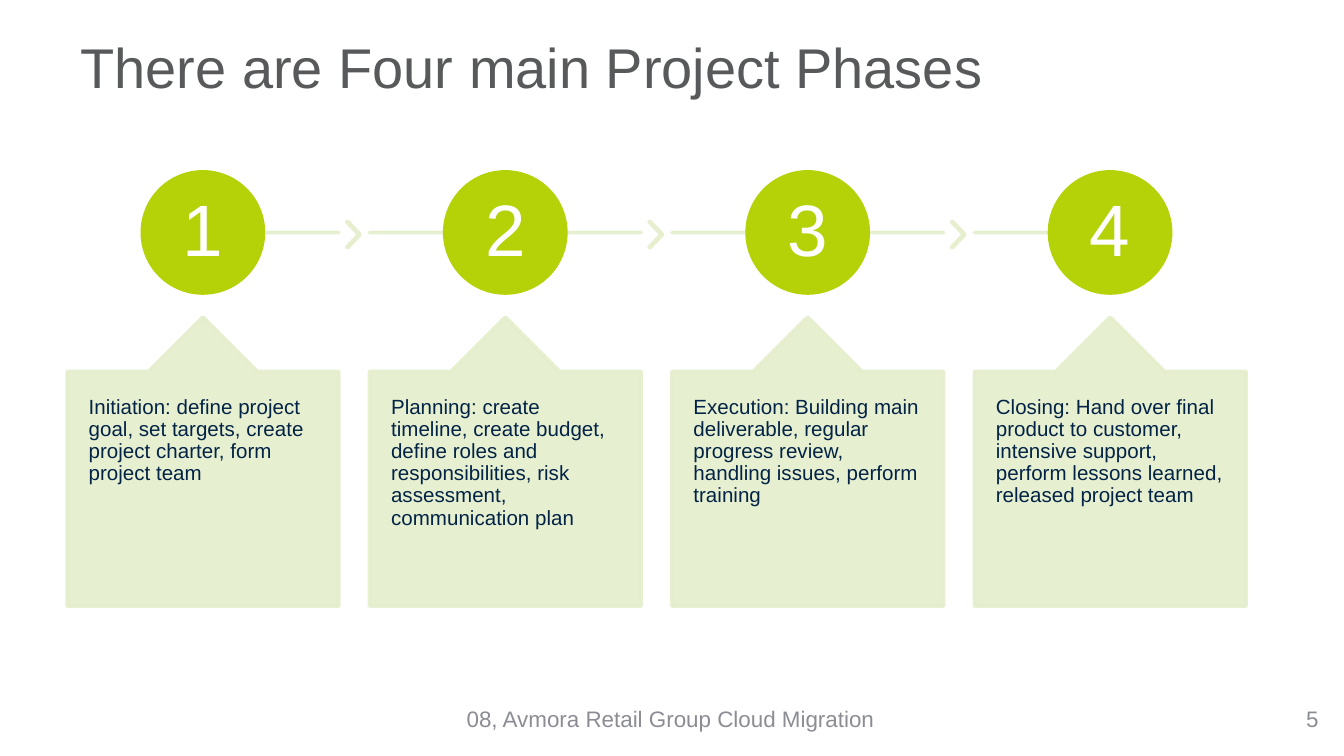
from lxml import etree
from pptx import Presentation
from pptx.dml.color import RGBColor
from pptx.enum.shapes import MSO_CONNECTOR, MSO_SHAPE as Shape
from pptx.enum.text import MSO_ANCHOR as Anchor, PP_ALIGN as Align
from pptx.oxml.ns import qn
from pptx.util import Inches, Pt

TITLE_GREY, FOOTER_GREY = "58595B", "8C8D94"
GREEN, PALE, NAVY, WHITE = "B5D107", "E5EECC", "022345", "FFFFFF"
CARD_WIDTH, PITCH, CIRCLE = 2.02, 2.25, 0.9
PHASES = [
    "Initiation: define project goal, set targets, create project charter, form project team",
    "Planning: create timeline, create budget, define roles and responsibilities, "
    "risk assessment, communication plan",
    "Execution: Building main deliverable, regular progress review, handling issues, "
    "perform training",
    "Closing: Hand over final product to customer, intensive support, "
    "perform lessons learned, released project team",
]


def rgb(color):
    """Return the colour for a hex string."""
    return RGBColor.from_string(color)


def soften(properties, opacity):
    """Set the opacity of every solid colour below an element."""
    for color in properties.iter(qn("a:srgbClr")):
        etree.SubElement(color, qn("a:alpha")).set("val", str(round(opacity * 100000)))


def outline(line, color):
    """Give a line its colour, width, round caps and round joins."""
    line.color.rgb = rgb(color)
    line.width = Pt(2)
    stroke = line._get_or_add_ln()
    stroke.set("cap", "rnd")
    etree.SubElement(stroke, qn("a:round"))


def add_text(slide, box, text, size, color, align=Align.LEFT, anchor=Anchor.MIDDLE,
             insets=(0.1, 0.05)):
    """Add one paragraph of text in a box."""
    frame = slide.shapes.add_textbox(*map(Inches, box)).text_frame
    frame.word_wrap = True
    frame.vertical_anchor = anchor
    frame.margin_left = frame.margin_right = Inches(insets[0])
    frame.margin_top = frame.margin_bottom = Inches(insets[1])
    paragraph = frame.paragraphs[0]
    paragraph.alignment = align
    paragraph.line_spacing = 0.9
    run = paragraph.add_run()
    run.text = text
    run.font.name = "Arial"
    run.font.size = Pt(size)
    run.font.color.rgb = rgb(color)


def add_filled(slide, kind, box, color, opacity=1, adjustments=()):
    """Add a preset shape with matching fill and outline."""
    shape = slide.shapes.add_shape(kind, *map(Inches, box))
    shape.shadow.inherit = False
    for index, value in enumerate(adjustments):
        shape.adjustments[index] = value
    shape.fill.solid()
    shape.fill.fore_color.rgb = rgb(color)
    outline(shape.line, color)
    if opacity < 1:
        soften(shape._element.spPr, opacity)


def add_track(slide, start, end, y):
    """Add a pale horizontal line between two positions."""
    track = slide.shapes.add_connector(
        MSO_CONNECTOR.STRAIGHT, Inches(start), Inches(y), Inches(end), Inches(y))
    outline(track.line, PALE)
    soften(track._element.spPr, 0.9)
    etree.SubElement(track._element.spPr, qn("a:effectLst"))


def add_phase(slide, left, top, number, description, first, last):
    """Add one numbered phase with its track and callout."""
    middle, axis = left + CARD_WIDTH / 2, top + CIRCLE / 2
    right = left + CARD_WIDTH
    add_track(slide, middle if first else left, middle if last else right, axis)
    if not last:
        add_filled(slide, Shape.CHEVRON, (right + 0.06, axis - 0.08, 0.1, 0.19),
                   PALE, 0.9, [0.9])
    add_filled(slide, Shape.OVAL, (middle - CIRCLE / 2, top, CIRCLE, CIRCLE), GREEN)
    add_text(slide, (middle - 0.32, axis - 0.32, 0.64, 0.64), str(number), 39, WHITE,
             Align.CENTER, insets=(0.03, 0.03))
    add_filled(slide, Shape.UP_ARROW_CALLOUT, (left, top + 1.08, CARD_WIDTH, 2.15),
               PALE, 0.9, [0.5, 0.2, 0.2, 1])
    add_text(slide, (left, top + 1.49, CARD_WIDTH, 1.74), description, 11, NAVY,
             anchor=Anchor.TOP, insets=(0.16, 0.18))


def add_timeline(slide, left, top):
    """Add all phases at an equal pitch."""
    for index, description in enumerate(PHASES):
        add_phase(slide, left + index * PITCH, top, index + 1, description,
                  index == 0, index == len(PHASES) - 1)


def add_footer(slide, top):
    """Add the project name and the page number."""
    add_text(slide, (1.82, top, 6.34, 0.3), "08, Avmora Retail Group Cloud Migration",
             12, FOOTER_GREY, Align.CENTER)
    add_text(slide, (7.58, top, 2.33, 0.3), "5", 12, FOOTER_GREY, Align.RIGHT)


def main():
    """Build and save the slide."""
    deck = Presentation()
    deck.slide_width = Inches(10)
    deck.slide_height = deck.slide_width * 9 // 16
    slide = deck.slides.add_slide(deck.slide_layouts[6])
    add_text(slide, (0.5, 0.23, 9, 0.59), "There are Four main Project Phases",
             30, TITLE_GREY)
    add_footer(slide, 5.21)
    add_timeline(slide, 0.5, 1.28)
    deck.save("out.pptx")


if __name__ == "__main__":
    main()
